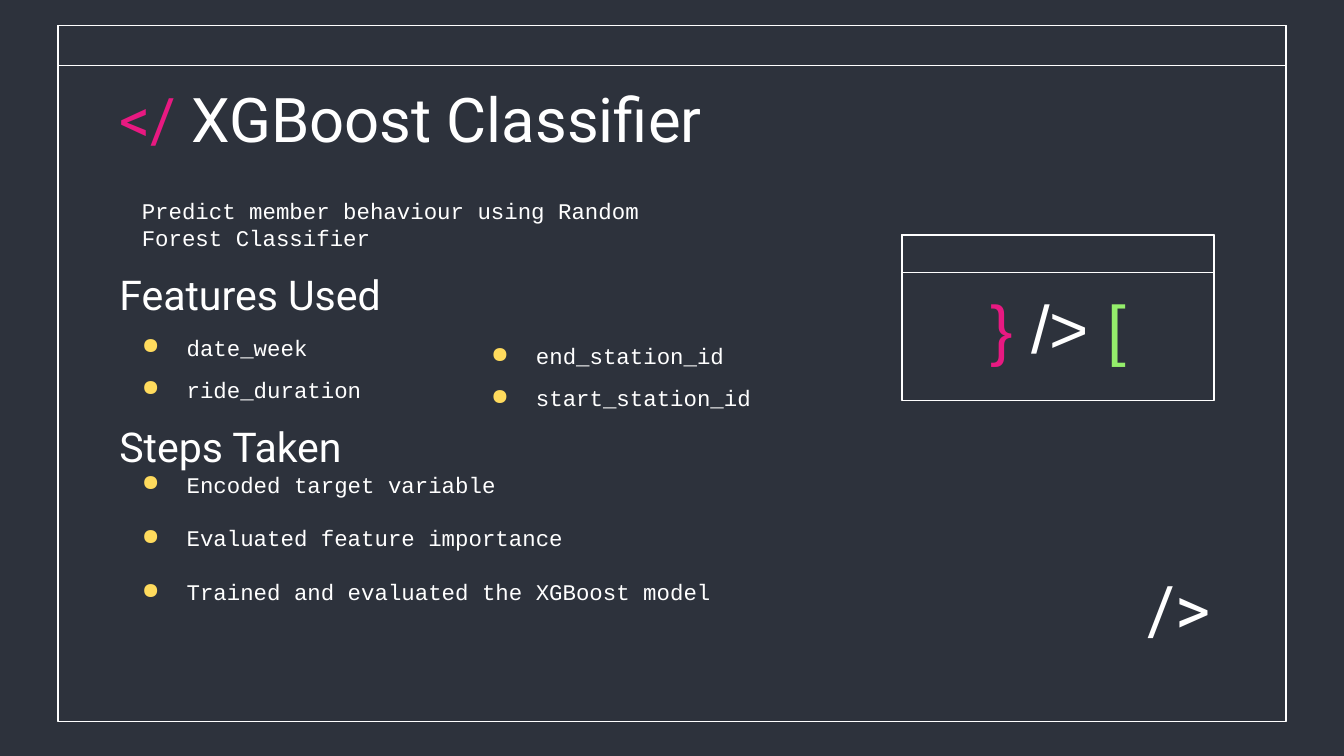
"""Build the XGBoost Classifier slide with its window frames and bulleted text."""
from lxml import etree
from pptx import Presentation
from pptx.dml.color import RGBColor
from pptx.enum import shapes, text
from pptx.oxml import ns
from pptx.util import Pt

COLORS = {"night": "2D323C", "white": "FFFFFF", "pink": "E81981", "yellow": "FFDB5D", "green": "94EE6B"}

WINDOWS = [
    {"box": (31, 13.7, 658, 373), "bar": 21.6},
    {"box": (483.3, 126, 167, 88.6), "bar": 20},
]

FORMATS = {
    "title": {"size": 33, "name": "Roboto"},
    "heading": {"size": 22, "name": "Roboto", "before": 10},
    "intro": {"size": 12, "name": "Courier New", "margin": 12},
    "feature": {"size": 12, "name": "Courier New", "before": 8, "margin": 36, "indent": -24},
    "first_step": {"size": 12, "name": "Courier New", "margin": 36, "indent": -24},
    "step": {"size": 12, "name": "Courier New", "before": 14.4, "margin": 36, "indent": -24},
    "tag": {"size": 36, "name": "Roboto", "spacing": 0.9},
    "symbols": {"size": 36, "name": "Arial", "spacing": 0.9, "align": text.PP_ALIGN.CENTER},
}

TEXTS = [
    {"box": (56.9, 98.6, 333, 270), "paragraphs": [
        ("intro", [("Predict member behaviour using Random Forest Classifier", "white")]),
        ("heading", [("Features Used", "white")]),
        ("feature", [("date_week", "white")]),
        ("feature", [("ride_duration", "white")]),
        ("heading", [("Steps Taken", "white")]),
        ("first_step", [("Encoded target variable", "white")]),
        ("step", [("Evaluated feature importance", "white")]),
        ("step", [("Trained and evaluated the XGBoost model", "white")]),
    ]},
    {"box": (56.9, 36, 607, 45.4), "paragraphs": [
        ("title", [("</ ", "pink"), ("XGBoost Classifier", "white")]),
    ]},
    {"box": (607.7, 304.6, 55.4, 47.5), "anchor": text.MSO_ANCHOR.MIDDLE, "paragraphs": [
        ("tag", [("/>", "white")]),
    ]},
    {"box": (519, 151.2, 96, 59), "paragraphs": [
        ("symbols", [("}", "pink"), (" /> ", "white"), ("[", "green")]),
    ]},
    {"box": (244, 180, 179.3, 44.6), "inset": 3.6, "paragraphs": [
        ("feature", [("end_station_id", "white")]),
        ("feature", [("start_station_id", "white")]),
    ]},
]


def rgb(color):
    return RGBColor.from_string(COLORS[color])


def add_panel(slide, box):
    panel = slide.shapes.add_shape(shapes.MSO_SHAPE.RECTANGLE, *map(Pt, box))
    panel.shadow.inherit = False
    panel.fill.solid()
    panel.fill.fore_color.rgb = rgb("night")
    panel.line.color.rgb = rgb("white")
    panel.line.width = Pt(0.75)


def add_window(slide, box, bar):
    add_panel(slide, box)
    add_panel(slide, (*box[:3], bar))


def set_indents(paragraph, margin=0, indent=0):
    properties = paragraph._p.get_or_add_pPr()
    properties.set("marL", str(Pt(margin)))
    properties.set("indent", str(Pt(indent)))
    if indent:
        bullet_color = etree.SubElement(properties, ns.qn("a:buClr"))
        etree.SubElement(bullet_color, ns.qn("a:srgbClr"), val=COLORS["yellow"])
        etree.SubElement(properties, ns.qn("a:buChar"), char="●")


def fill_paragraph(paragraph, style, pieces):
    look = FORMATS[style]
    layout = {
        "space_before": Pt(look.get("before", 0)),
        "line_spacing": look.get("spacing", 1.0),
        "alignment": look.get("align", text.PP_ALIGN.LEFT),
    }
    for attribute, value in layout.items():
        setattr(paragraph, attribute, value)
    set_indents(paragraph, look.get("margin", 0), look.get("indent", 0))
    for words, color in pieces:
        run = paragraph.add_run()
        run.text = words
        for attribute, value in {"size": Pt(look["size"]), "name": look["name"]}.items():
            setattr(run.font, attribute, value)
        run.font.color.rgb = rgb(color)


def add_text(slide, box, paragraphs, inset=7.2, anchor=text.MSO_ANCHOR.TOP):
    frame = slide.shapes.add_textbox(*map(Pt, box)).text_frame
    settings = {
        "word_wrap": True, "vertical_anchor": anchor,
        "margin_left": Pt(7.2), "margin_right": Pt(7.2),
        "margin_top": Pt(inset), "margin_bottom": Pt(inset),
    }
    for attribute, value in settings.items():
        setattr(frame, attribute, value)
    for index, (style, pieces) in enumerate(paragraphs):
        paragraph = frame.add_paragraph() if index else frame.paragraphs[0]
        fill_paragraph(paragraph, style, pieces)


def main():
    deck = Presentation()
    deck.slide_width, deck.slide_height = Pt(720), Pt(405)
    slide = deck.slides.add_slide(deck.slide_layouts[6])
    slide.background.fill.solid()
    slide.background.fill.fore_color.rgb = rgb("night")
    for window in WINDOWS:
        add_window(slide, **window)
    for block in TEXTS:
        add_text(slide, **block)
    deck.save("out.pptx")


if __name__ == "__main__":
    main()
